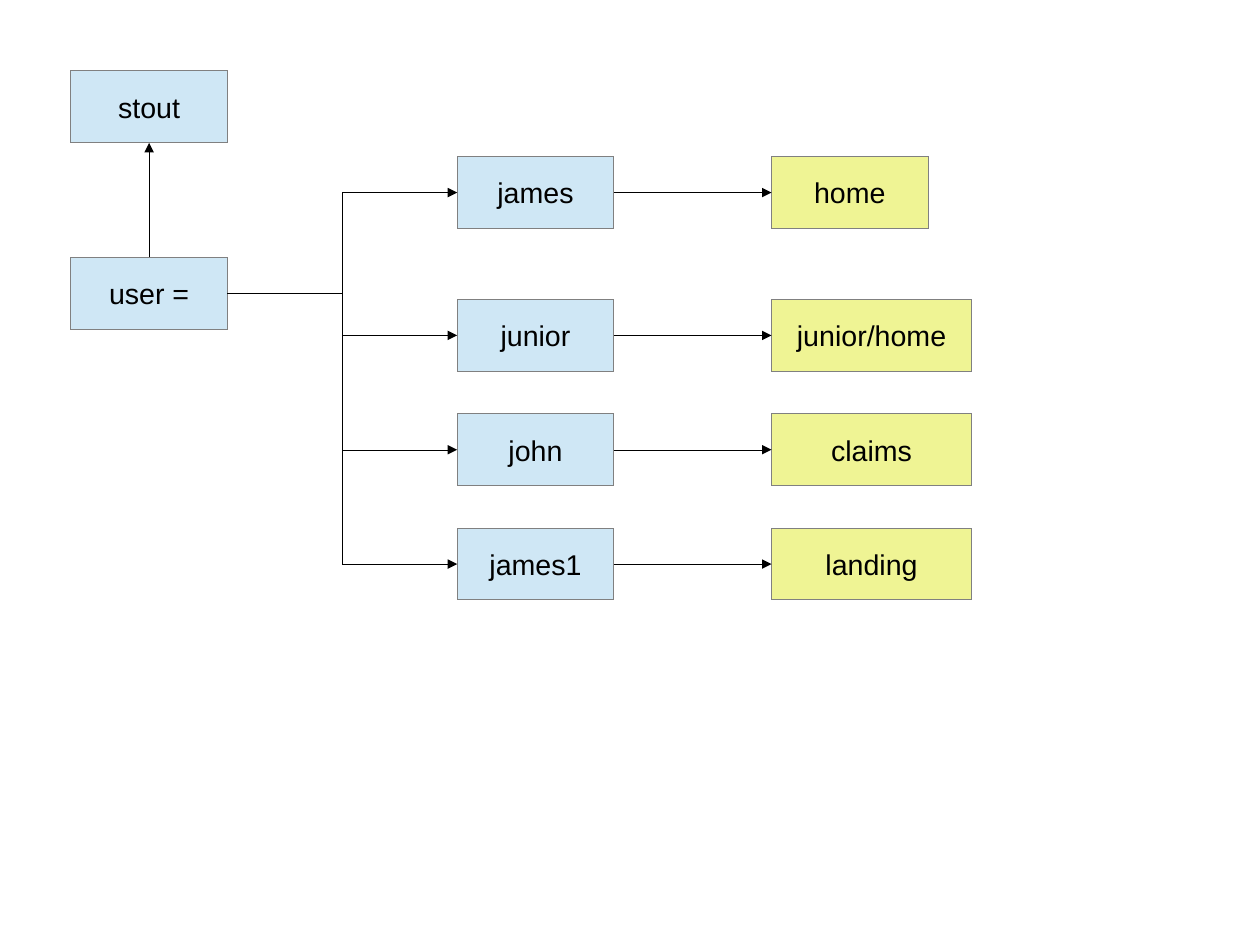
"""Build a flow diagram that routes each user to a landing page."""
from lxml.etree import SubElement
from pptx import Presentation
from pptx.dml.color import RGBColor
from pptx.enum.shapes import MSO_CONNECTOR, MSO_SHAPE
from pptx.enum.text import MSO_ANCHOR, PP_ALIGN
from pptx.oxml.ns import qn
from pptx.util import Inches, Pt

BLUE = RGBColor(0xCF, 0xE7, 0xF5)
YELLOW = RGBColor(0xEF, 0xF4, 0x94)
GRAY = RGBColor(0x80, 0x80, 0x80)
BLACK = RGBColor(0, 0, 0)
HAIRLINE = Pt(0.01)
TOP, LEFT, BOTTOM, RIGHT = range(4)
STEP_WIDTH, WIDE_WIDTH, STEP_HEIGHT = 1.37, 1.75, 0.63
CM_PER_INCH = 2.54

deck = Presentation()
deck.slide_width = Inches(28 / CM_PER_INCH)
deck.slide_height = Inches(21 / CM_PER_INCH)
slide = deck.slides.add_slide(deck.slide_layouts[6])


def add_step(label, left, top, color, width=STEP_WIDTH):
    step = slide.shapes.add_shape(
        MSO_SHAPE.RECTANGLE, Inches(left), Inches(top), Inches(width), Inches(STEP_HEIGHT))
    step.shadow.inherit = False
    step.fill.solid()
    step.fill.fore_color.rgb = color
    step.line.color.rgb = GRAY
    step.line.width = HAIRLINE
    frame = step.text_frame
    frame.word_wrap = True
    frame.vertical_anchor = MSO_ANCHOR.MIDDLE
    paragraph = frame.paragraphs[0]
    paragraph.alignment = PP_ALIGN.CENTER
    run = paragraph.add_run()
    run.text = label
    run.font.name = "Arial"
    run.font.size = Pt(18)
    run.font.color.rgb = BLACK
    return step


def add_arrow(source, source_side, target, target_side, route=MSO_CONNECTOR.STRAIGHT):
    arrow = slide.shapes.add_connector(route, 0, 0, 0, 0)
    arrow.begin_connect(source, source_side)
    arrow.end_connect(target, target_side)
    arrow.line.color.rgb = BLACK
    arrow.line.width = HAIRLINE
    outline = arrow._element.spPr.find(qn("a:ln"))
    SubElement(outline, qn("a:tailEnd"), type="triangle")
    SubElement(arrow._element.spPr, qn("a:effectLst"))


stout = add_step("stout", 0.62, 0.62, BLUE)
user = add_step("user =", 0.62, 2.25, BLUE)
add_arrow(user, TOP, stout, BOTTOM)

routes = [
    ("james", "home", 1.37, STEP_WIDTH),
    ("junior", "junior/home", 2.62, WIDE_WIDTH),
    ("john", "claims", 3.62, WIDE_WIDTH),
    ("james1", "landing", 4.62, WIDE_WIDTH),
]
for name, page, top, page_width in routes:
    account = add_step(name, 4, top, BLUE)
    destination = add_step(page, 6.75, top, YELLOW, page_width)
    add_arrow(user, RIGHT, account, LEFT, MSO_CONNECTOR.ELBOW)
    add_arrow(account, RIGHT, destination, LEFT)

deck.save("out.pptx")
